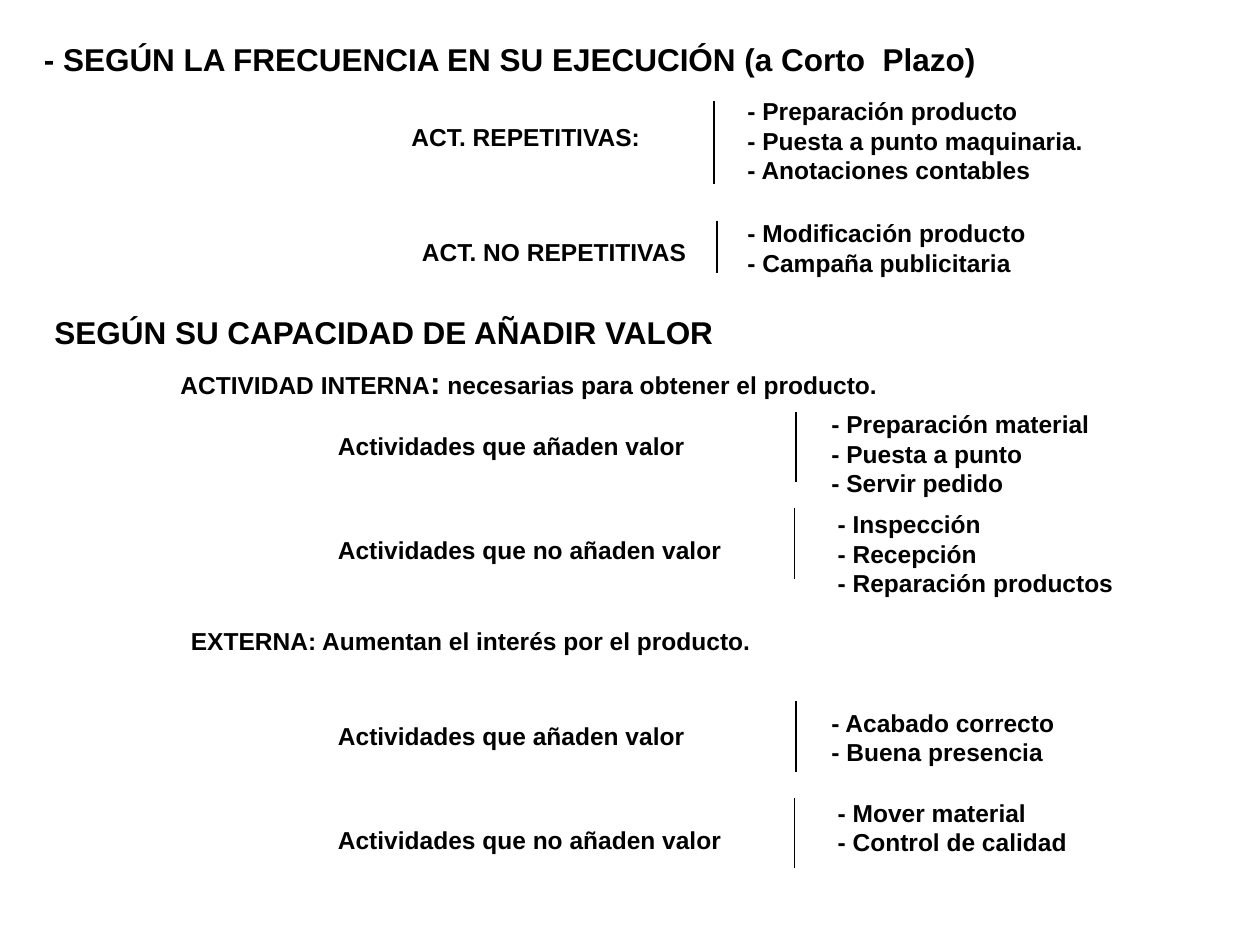
from pptx import Presentation, util as u
from pptx.dml.color import RGBColor
from pptx.enum import shapes, text
from pptx.oxml.ns import qn
from lxml import etree

COLS, ROWS = 120, 90
HEAD, BODY = 18, 14


def ink(code):
    return RGBColor.from_string(code)


class Page:
    """Style and current slide; lengths are columns and rows of the grid."""
    font = {"name": "Arial", "bold": True}
    frame = {"word_wrap": True, "auto_size": text.MSO_AUTO_SIZE.SHAPE_TO_FIT_TEXT}
    color = "000000"
    rule = 0.74

    def __init__(self, deck):
        self.slide = deck.slides.add_slide(deck.slide_layouts[6])
        self.col = deck.slide_width / COLS
        self.row = deck.slide_height / ROWS

    def spot(self, x, y):
        return round(x * self.col), round(y * self.row)

    def style(self, item, form):
        for key, value in form.items():
            setattr(item, key, value)

    def text(self, x, y, wide, lines, size=BODY, align=text.PP_ALIGN.LEFT):
        """Each line is a string, or a list of (string, size) runs."""
        high = 1.2 + len(lines) * size * 0.2
        box = self.slide.shapes.add_textbox(*self.spot(x, y), *self.spot(wide, high))
        frame = box.text_frame
        self.style(frame, self.frame)
        for n, line in enumerate(lines):
            para = frame.paragraphs[0] if n == 0 else frame.add_paragraph()
            para.alignment = align
            runs = [(line, size)] if isinstance(line, str) else line
            for words, points in runs:
                run = para.add_run()
                run.text = words
                self.style(run.font, {**self.font, "size": u.Pt(points)})
                run.font.color.rgb = ink(self.color)

    def list(self, x, y, wide, items):
        lines = ["- " + item for item in items]
        self.text(x, y, wide, lines, align=text.PP_ALIGN.JUSTIFY)

    def bar(self, x, y, high):
        line = self.slide.shapes.add_connector(
            shapes.MSO_CONNECTOR.STRAIGHT, *self.spot(x, y), *self.spot(x, y + high))
        line.line.width = u.Pt(self.rule)
        line.line.color.rgb = ink(self.color)
        etree.SubElement(line._element.spPr, qn("a:effectLst"))


deck = Presentation()
deck.slide_width, deck.slide_height = u.Inches(10), u.Inches(7.5)
page = Page(deck)

# Activities by frequency
page.text(3, 3.2, 103, ["- SEGÚN LA FRECUENCIA EN SU EJECUCIÓN (a Corto  Plazo)"], HEAD)
page.text(38, 11, 25, ["ACT. REPETITIVAS:"])
page.bar(68, 9.6, 7.9)
page.list(70, 8.6, 40, ["Preparación producto", "Puesta a punto maquinaria.",
                        "Anotaciones contables"])
page.text(39, 22, 30, ["ACT. NO REPETITIVAS"])
page.bar(68.3, 21, 5)
page.list(70, 20.2, 38, ["Modificación producto", "Campaña publicitaria"])

# Activities by added value
page.text(4, 29.2, 71, ["SEGÚN SU CAPACIDAD DE AÑADIR VALOR"], HEAD)
page.text(16, 34, 69, [[("ACTIVIDAD INTERNA", BODY), (":", HEAD),
                        (" necesarias para obtener el producto.", BODY)]])
page.text(17, 59, 57, ["EXTERNA: Aumentan el interés por el producto."])

# Internal and external groups share one layout: top, two lists with their tops
groups = [
    (39.2, 38.4, ["Preparación material", "Puesta a punto", "Servir pedido"],
     47.9, ["Inspección", "Recepción", "Reparación productos"]),
    (66.8, 66.8, ["Acabado correcto", "Buena presencia"],
     75.4, ["Mover material", "Control de calidad"]),
]
for top, first, adds, second, rest in groups:
    page.text(31, top + 1.3, 38, ["Actividades que añaden valor"])
    page.bar(75.8, top, 6.7)
    page.list(78, first, 28, adds)
    page.text(31, top + 11.2, 41, ["Actividades que no añaden valor"])
    page.bar(75.7, top + 9.2, 6.7)
    page.list(78.6, second, 31, rest)

deck.save("out.pptx")
